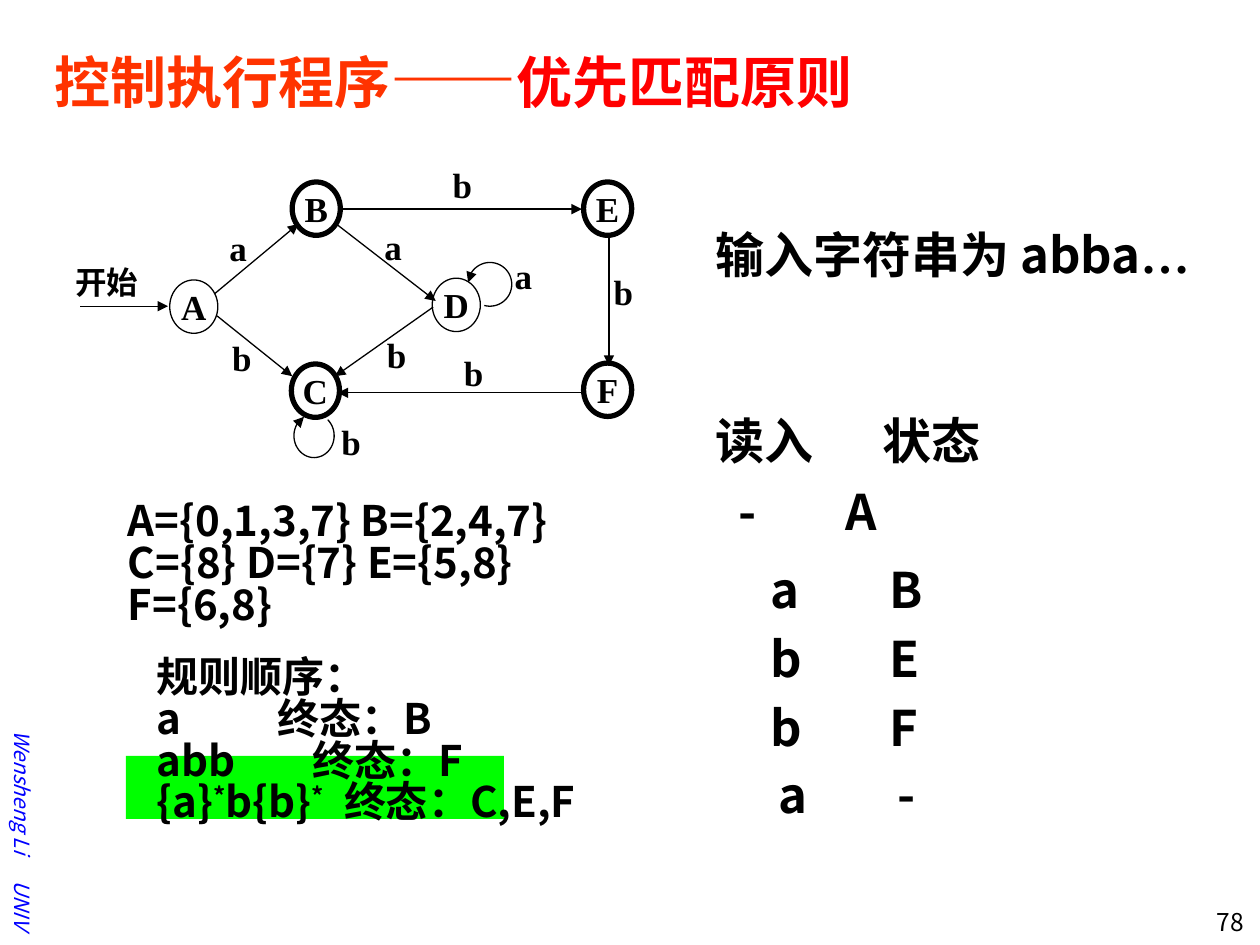
from math import cos, radians, sin

from lxml.etree import SubElement
from pptx import Presentation
from pptx.dml.color import RGBColor
from pptx.enum.shapes import MSO_CONNECTOR, MSO_SHAPE
from pptx.enum.text import MSO_ANCHOR, PP_ALIGN
from pptx.oxml.ns import qn
from pptx.util import Pt

SANS, SERIF = "Noto Sans CJK SC", "Times New Roman"
BLACK = "000000"


def color(code):
    return RGBColor.from_string(code)


def add_run(para, text, size, font=SANS, code=BLACK, bold=True, italic=False, base=0):
    run = para.add_run()
    run.text = text
    face = run.font
    face.size, face.name, face.bold, face.italic = Pt(size), font, bold, italic
    face.color.rgb = color(code)
    props = face._element
    SubElement(props, qn("a:ea")).set("typeface", SANS)
    if base:
        props.set("baseline", str(base * 1000))


def add_box(slide, x, y, w, h, anchor=MSO_ANCHOR.TOP, align=PP_ALIGN.LEFT):
    """Add a text box; return it with its first paragraph."""
    box = slide.shapes.add_textbox(Pt(x), Pt(y), Pt(w), Pt(h))
    frame = box.text_frame
    frame.word_wrap = True
    frame.vertical_anchor = anchor
    para = frame.paragraphs[0]
    para.alignment = align
    return box, para


def set_tab(para, pos):
    tabs = SubElement(para._p.get_or_add_pPr(), qn("a:tabLst"))
    SubElement(tabs, qn("a:tab"), pos=str(Pt(pos)), algn="l")


def style_line(shape, width=0.75, arrow=False):
    shape.line.color.rgb = color(BLACK)
    shape.line.width = Pt(width)
    if arrow:
        SubElement(shape.line._get_or_add_ln(), qn("a:tailEnd"), type="triangle")


def draw_footer(slide, x, end):
    """Write the vertical credit down the left edge, ending at the given height."""
    width, height = 150, 22
    for text, stop in (("Wensheng Li", end - 43), ("UNIV", end)):
        box, para = add_box(slide, x - width / 2, stop - (width + height) / 2,
                            width, height, MSO_ANCHOR.MIDDLE, PP_ALIGN.RIGHT)
        box.rotation = 90
        add_run(para, text, 12, code="0000FF", bold=False, italic=True)


def draw_title(slide, x, y, w, h):
    para = add_box(slide, x, y, w, h, MSO_ANCHOR.MIDDLE)[1]
    add_run(para, "控制执行程序", 32, code="FF3300")
    add_run(para, "——", 36, SERIF, "FF3300")
    add_run(para, "优先匹配原则", 32, code="FF0000")


def draw_node(slide, x, y, name, width):
    node = slide.shapes.add_shape(MSO_SHAPE.OVAL, Pt(x), Pt(y), Pt(27.5), Pt(30.5))
    node.shadow.inherit = False
    node.fill.background()
    style_line(node, width)
    frame = node.text_frame
    frame.margin_left = frame.margin_right = frame.margin_top = frame.margin_bottom = 0
    frame.word_wrap = False
    frame.vertical_anchor = MSO_ANCHOR.MIDDLE
    frame.paragraphs[0].alignment = PP_ALIGN.CENTER
    add_run(frame.paragraphs[0], name, 20, SERIF)


def draw_arrow(slide, x1, y1, x2, y2):
    line = slide.shapes.add_connector(MSO_CONNECTOR.STRAIGHT, Pt(x1), Pt(y1), Pt(x2), Pt(y2))
    style_line(line, arrow=True)
    SubElement(line._element.spPr, qn("a:effectLst"))


def draw_loop(slide, x, y, rx, ry, start, stop):
    """Draw an open arc around a centre, with an arrowhead at its end."""
    steps = 40
    turns = [radians(start + (stop - start) * i / steps) for i in range(steps + 1)]
    dots = [(Pt(x + rx * cos(t)), Pt(y + ry * sin(t))) for t in turns]
    path = slide.shapes.build_freeform(*dots[0])
    path.add_line_segments(dots[1:], close=False)
    loop = path.convert_to_shape()
    loop.shadow.inherit = False
    loop.fill.background()
    style_line(loop, arrow=True)


def draw_graph(slide, x, y):
    nodes = (("A", 61, 70, 0.75), ("B", 131, 14, 3), ("E", 297.5, 14, 3),
             ("F", 297.5, 117.5, 3), ("C", 130.5, 118, 3), ("D", 211, 69, 0.75))
    for name, dx, dy, width in nodes:
        draw_node(slide, x + dx, y + dy, name, width)
    arrows = ((10, 85, 60, 85), (86.5, 78, 134.5, 38), (88, 90.5, 131, 125),
              (159, 29.5, 296.5, 29.5), (155.5, 37.5, 213, 82),
              (211.5, 85.5, 155.5, 125), (312, 43, 312, 119),
              (296.5, 134.5, 157, 134.5))
    for x1, y1, x2, y2 in arrows:
        draw_arrow(slide, x + x1, y + y1, x + x2, y + y2)
    draw_loop(slide, x + 244, y + 72.5, 12.5, 12.5, 105, -175)
    draw_loop(slide, x + 143.5, y + 159, 11.5, 12.5, -47, 240)
    labels = (("a", 88, 36), ("b", 89.5, 98.5), ("b", 215.5, 0), ("a", 176.5, 35.5),
              ("b", 178, 97), ("a", 251, 52), ("b", 307.5, 61), ("b", 222, 107.5),
              ("b", 152, 147))
    for text, dx, dy in labels:
        add_run(add_box(slide, x + dx, y + dy, 29, 33)[1], text, 20, SERIF)
    add_run(add_box(slide, x, y + 57, 56, 33)[1], "开始", 18, SERIF)


def draw_sets(slide, x, y, w, h):
    box, para = add_box(slide, x, y, w, h)
    for i, text in enumerate(("A={0,1,3,7} B={2,4,7}", "C={8} D={7} E={5,8}", "F={6,8}")):
        para = box.text_frame.add_paragraph() if i else para
        para.line_spacing = 0.83
        add_run(para, text, 24)


def draw_rules(slide, x, y, w, h):
    box, para = add_box(slide, x, y, w, h)
    para.line_spacing = 0.83
    add_run(para, "规则顺序：", 24)
    rules = ((("a",), "B", 69), (("abb",), "F", 89),
             (("{a}", "*", "b{b}", "*"), "C,E,F", 107))
    for parts, state, tab in rules:
        para = box.text_frame.add_paragraph()
        para.line_spacing = 0.83
        set_tab(para, tab)
        for part in parts:
            add_run(para, part, 24, base=30 if part == "*" else 0)
        add_run(para, "\t终态：" + state, 24)


def draw_trace(slide, x, y, w):
    """List the input string and, row by row, each symbol read and the state reached."""
    para = add_box(slide, x, y, w, 46)[1]
    add_run(para, "输入字符串为 abba", 28)
    add_run(para, "…", 28, SERIF)
    rows = (("读入", "状态", 0, 106, 95), ("-", "A", 13, 146.5, 61),
            ("a", "B", 31, 191, 68), ("b", "E", 31, 230.5, 68),
            ("b", "F", 31, 270, 68), ("a", "-", 36, 308.5, 68))
    for read, state, dx, dy, tab in rows:
        para = add_box(slide, x + dx, y + dy, w - dx, 46)[1]
        set_tab(para, tab)
        add_run(para, f"{read}\t{state}", 28)


def main():
    deck = Presentation()
    deck.slide_width, deck.slide_height = Pt(720), Pt(540)
    slide = deck.slides.add_slide(deck.slide_layouts[6])
    draw_footer(slide, 13, 538)
    number = add_box(slide, 661, 515, 57, 22, align=PP_ALIGN.RIGHT)[1]
    add_run(number, "78", 14, bold=False)
    band = slide.shapes.add_shape(MSO_SHAPE.RECTANGLE, Pt(72), Pt(432), Pt(216), Pt(36))
    band.shadow.inherit = False
    band.fill.solid()
    band.fill.fore_color.rgb = color("00FF00")
    band.line.fill.background()
    draw_title(slide, 24, 12, 678, 66)
    draw_trace(slide, 402, 125, 294)
    draw_graph(slide, 36, 90)
    draw_sets(slide, 66, 284, 276, 92)
    draw_rules(slide, 82.5, 373, 270, 122)
    deck.save("out.pptx")


if __name__ == "__main__":
    main()
